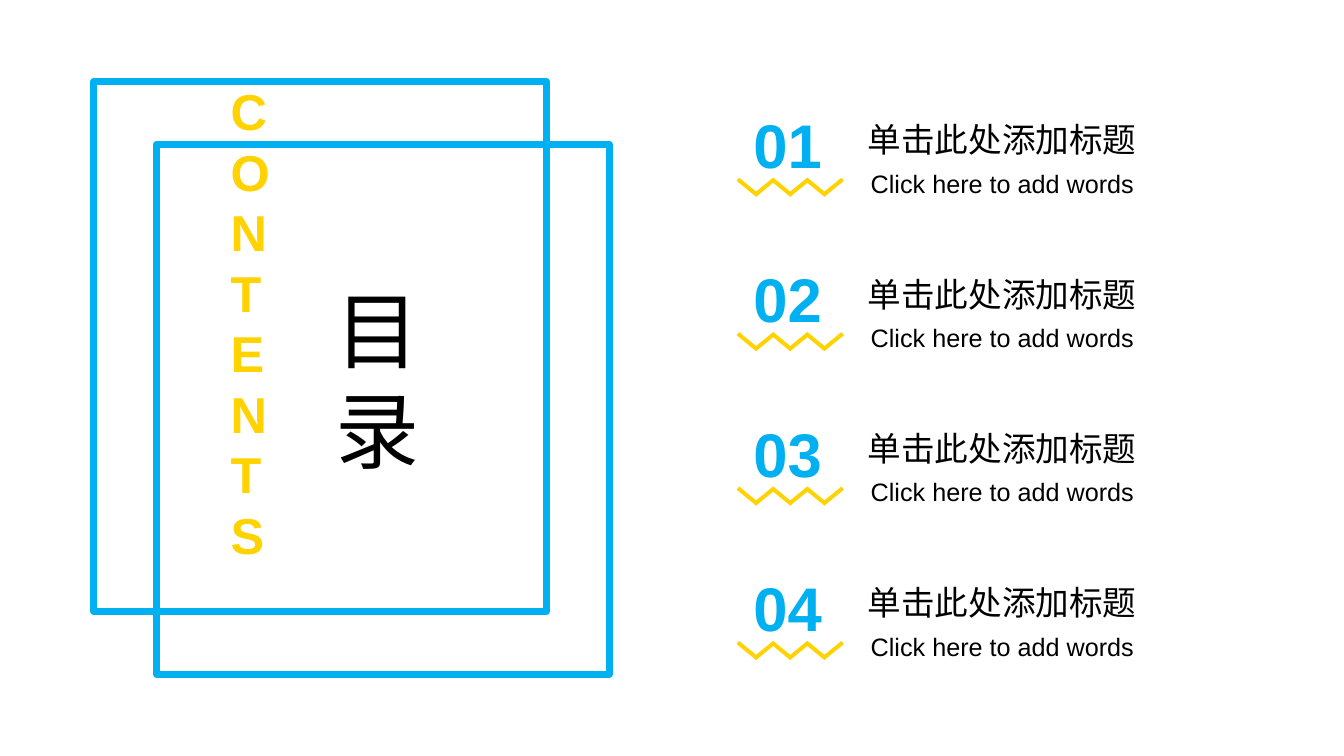
from pptx import Presentation
from pptx.dml.color import RGBColor
from pptx.enum.shapes import MSO_SHAPE
from pptx.enum.text import MSO_AUTO_SIZE, PP_ALIGN
from pptx.util import Pt

COLORS = {"blue": "00B0F0", "yellow": "FFD200", "black": "000000"}
FONT = "Arial"
ENTRIES = [
    ("01", "单击此处添加标题", "Click here to add words"),
    ("02", "单击此处添加标题", "Click here to add words"),
    ("03", "单击此处添加标题", "Click here to add words"),
    ("04", "单击此处添加标题", "Click here to add words"),
]
ENTRY_TOP = 72.9
ENTRY_PITCH = 110.3
STROKE_COUNT = 6
STROKE_PITCH = 12.2
STROKE_ANGLE = 39.3


def color(name):
    return RGBColor.from_string(COLORS[name])


def add_text(parent, text, left, top, width, height, size, color_name,
             align=PP_ALIGN.LEFT, bold=False):
    box = parent.shapes.add_textbox(Pt(left), Pt(top), Pt(width), Pt(height))
    frame = box.text_frame
    frame.word_wrap = True
    frame.auto_size = MSO_AUTO_SIZE.SHAPE_TO_FIT_TEXT
    para = frame.paragraphs[0]
    para.alignment = align
    span = para.add_run()
    span.text = text
    span.font.name = FONT
    span.font.size = Pt(size)
    span.font.bold = bold
    span.font.color.rgb = color(color_name)


def add_rectangle(parent, left, top, width, height):
    shape = parent.shapes.add_shape(
        MSO_SHAPE.RECTANGLE, Pt(left), Pt(top), Pt(width), Pt(height))
    shape.shadow.inherit = False
    return shape


def add_frame(parent, left, top):
    outline = add_rectangle(parent, left, top, 323.3, 378.7)
    outline.fill.background()
    outline.line.color.rgb = color("blue")
    outline.line.width = Pt(5)


def add_zigzag(parent, left, top):
    for index in range(STROKE_COUNT):
        stroke = add_rectangle(parent, left + index * STROKE_PITCH, top, 18, 2.9)
        stroke.rotation = STROKE_ANGLE if index % 2 == 0 else 360 - STROKE_ANGLE
        stroke.fill.solid()
        stroke.fill.fore_color.rgb = color("yellow")
        stroke.line.fill.background()


def add_entry(page, top, number, title, subtitle):
    group = page.shapes.add_group_shape()
    add_text(group, title, 612.7, top + 8.6, 285.8, 36.3, 24, "black",
             PP_ALIGN.JUSTIFY)
    add_text(group, subtitle, 614.9, top + 43.5, 285.8, 29.1, 18, "black")
    add_zigzag(group, 525, top + 59.4)
    add_text(group, number, 527.8, top, 69.8, 60.6, 44, "blue",
             PP_ALIGN.CENTER, True)


def main():
    deck = Presentation()
    deck.slide_width, deck.slide_height = Pt(960), Pt(540)
    page = deck.slides.add_slide(deck.slide_layouts[6])
    frames = page.shapes.add_group_shape()
    add_frame(frames, 67, 58.3)
    add_frame(frames, 111.8, 103)
    add_text(page, "CONTENTS", 157.7, 54, 25.2, 356.4, 36, "yellow",
             PP_ALIGN.CENTER, True)
    add_text(page, "目录", 228.2, 195.1, 82.8, 152.6, 60, "black",
             PP_ALIGN.CENTER)
    for index, entry in enumerate(ENTRIES):
        add_entry(page, ENTRY_TOP + index * ENTRY_PITCH, *entry)
    deck.save("out.pptx")


if __name__ == "__main__":
    main()
